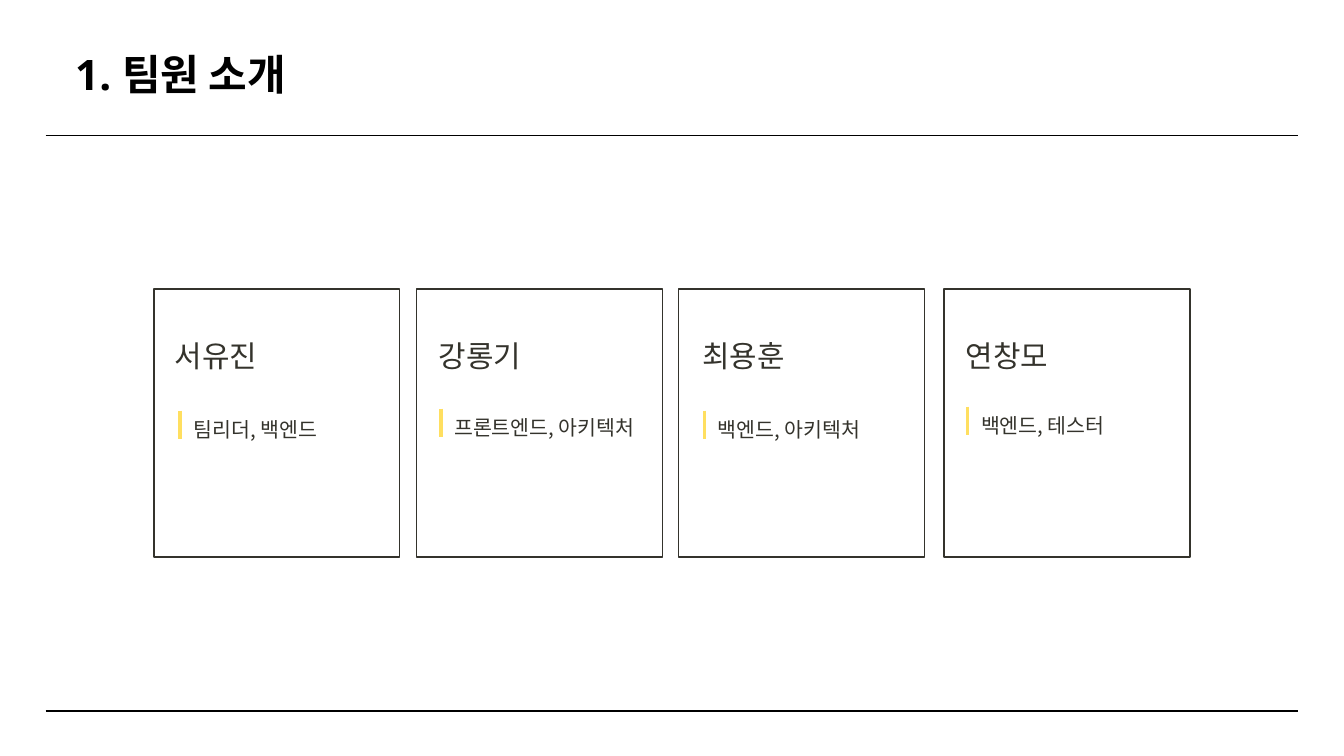
import dataclasses
import pptx
import pptx.dml.color
import pptx.enum.shapes
import pptx.enum.text
import pptx.oxml.ns
import pptx.util
from lxml import etree

Inches = pptx.util.Inches
Pt = pptx.util.Pt
Align = pptx.enum.text.PP_ALIGN


@dataclasses.dataclass(frozen=True)
class Theme:
    black: str = "000000"
    white: str = "FFFFFF"
    ink: str = "34332C"
    accent: str = "FFDF60"
    title_font: str = "Noto Sans"
    body_font: str = "Noto Sans CJK KR"
    title_size: float = 45
    name_size: float = 32
    duty_size: float = 22
    rule_width: float = 1.5
    accent_width: float = 3.75


@dataclasses.dataclass(frozen=True)
class Member:
    name: str
    duty: str
    left: float
    name_inset: float
    duty_inset: float
    duty_drop: float
    duty_width: float


THEME = Theme()
PAGE_WIDTH, PAGE_HEIGHT = 20, 11.25
MARGIN = 0.68
CARD_TOP, CARD_WIDTH, CARD_HEIGHT = 4.3, 3.66, 3.99
MEMBERS = [
    Member("서유진", "팀리더, 백엔드", 2.29, 0.31, 0.59, 1.81, 2.16),
    Member("강롱기", "프론트엔드, 아키텍처", 6.2, 0.33, 0.56, 1.78, 3.1),
    Member("최용훈", "백엔드, 아키텍처", 10.1, 0.35, 0.58, 1.81, 2.74),
    Member("연창모", "백엔드, 테스터", 14.05, 0.32, 0.55, 1.75, 2.32),
]


def color(value):
    return pptx.dml.color.RGBColor.from_string(value)


def add_text(page, text, left, top, width, height, *, size, spacing,
             font=THEME.body_font, ink=THEME.ink, bold=False, align=Align.LEFT):
    box = page.shapes.add_textbox(Inches(left), Inches(top), Inches(width), Inches(height))
    frame = box.text_frame
    frame.word_wrap = True
    frame.auto_size = pptx.enum.text.MSO_AUTO_SIZE.SHAPE_TO_FIT_TEXT
    frame.margin_left = frame.margin_right = frame.margin_top = frame.margin_bottom = 0
    para = frame.paragraphs[0]
    para.alignment = align
    para.line_spacing = Pt(spacing)
    span = para.add_run()
    span.text = text
    span.font.name = font
    span.font.size = Pt(size)
    span.font.bold = bold
    span.font.color.rgb = color(ink)
    east_asian = etree.SubElement(span.font._element, pptx.oxml.ns.qn("a:ea"))
    east_asian.set("typeface", THEME.body_font)
    return box


def add_line(page, left, top, right, bottom, ink, width):
    line = page.shapes.add_connector(
        pptx.enum.shapes.MSO_CONNECTOR.STRAIGHT,
        Inches(left), Inches(top), Inches(right), Inches(bottom))
    line.line.color.rgb = color(ink)
    line.line.width = Pt(width)
    etree.SubElement(line._element.spPr, pptx.oxml.ns.qn("a:effectLst"))


def add_header(page, left, top, width, height):
    bottom = top + height
    add_line(page, left, bottom, left + width, bottom, THEME.black, THEME.rule_width)
    add_text(page, "1. 팀원 소개", left + 0.44, top + 0.84, 4.74, 0.66,
             size=THEME.title_size, spacing=45, font=THEME.title_font,
             ink=THEME.black, bold=True, align=Align.JUSTIFY)


def add_footer(page, left, top, width):
    add_line(page, left, top, left + width, top, THEME.black, THEME.rule_width)


def add_member_card(page, member, left, top, width, height):
    card = page.shapes.add_shape(
        pptx.enum.shapes.MSO_SHAPE.RECTANGLE,
        Inches(left), Inches(top), Inches(width), Inches(height))
    card.shadow.inherit = False
    card.fill.solid()
    card.fill.fore_color.rgb = color(THEME.white)
    card.line.color.rgb = color(THEME.ink)
    card.line.width = Pt(THEME.rule_width)

    duty_left = left + member.duty_inset
    duty_top = top + member.duty_drop
    bar_left = duty_left - 0.2
    add_line(page, bar_left, duty_top, bar_left, duty_top + 0.42,
             THEME.accent, THEME.accent_width)
    add_text(page, member.name, left + member.name_inset, top + 0.58, 2.7, 0.66,
             size=THEME.name_size, spacing=49)
    add_text(page, member.duty, duty_left, duty_top, member.duty_width, 0.44,
             size=THEME.duty_size, spacing=33.7)


def main():
    deck = pptx.Presentation()
    deck.slide_width = Inches(PAGE_WIDTH)
    deck.slide_height = Inches(PAGE_HEIGHT)
    page = deck.slides.add_slide(deck.slide_layouts[6])
    page.background.fill.solid()
    page.background.fill.fore_color.rgb = color(THEME.white)

    content_width = PAGE_WIDTH - 2 * MARGIN
    add_header(page, MARGIN, 0, content_width, 2.02)
    for member in MEMBERS:
        add_member_card(page, member, member.left, CARD_TOP, CARD_WIDTH, CARD_HEIGHT)
    add_footer(page, MARGIN, 10.58, content_width)
    deck.save("out.pptx")


if __name__ == "__main__":
    main()
